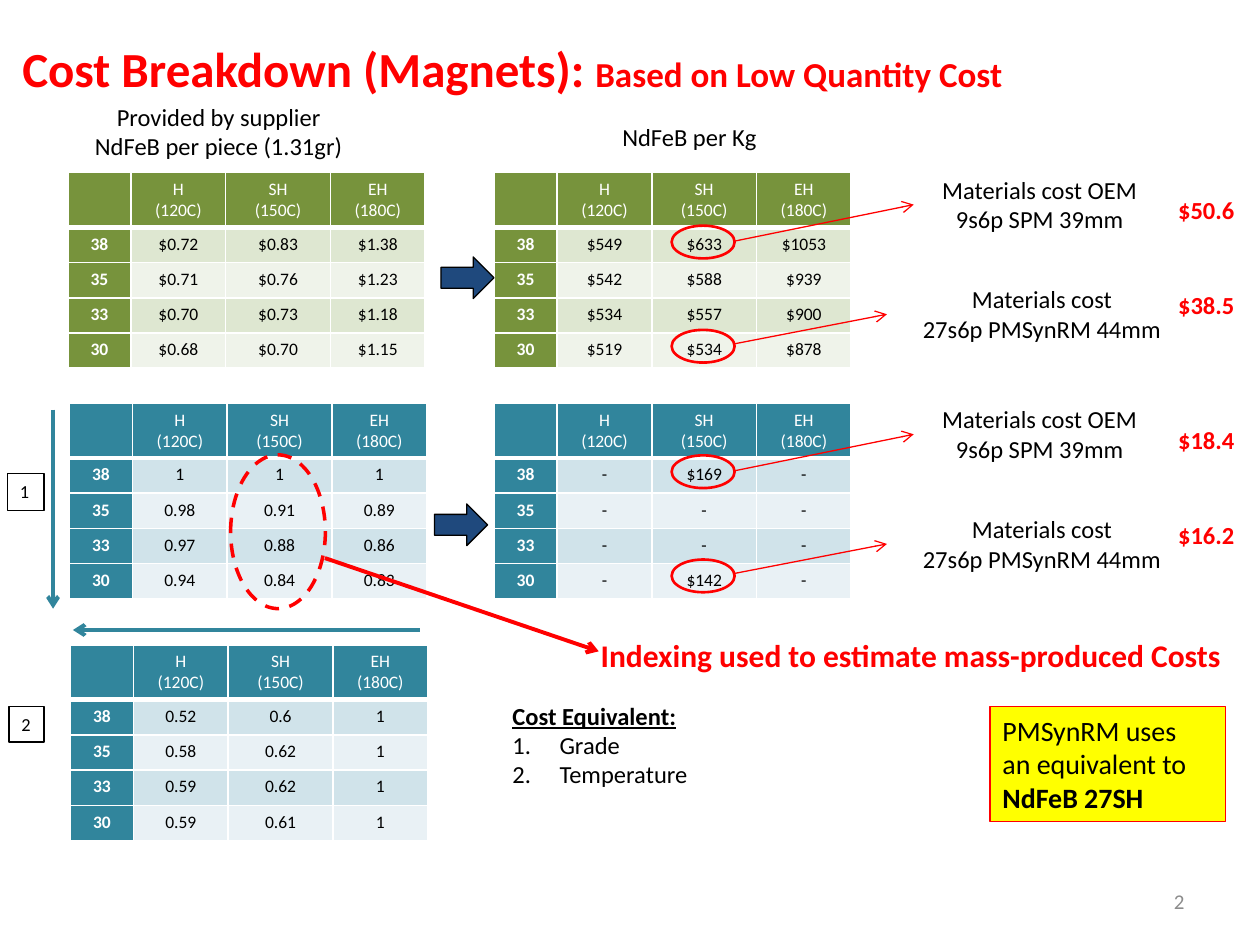
from dataclasses import dataclass

from lxml.etree import SubElement
from pptx import Presentation
from pptx.dml.color import RGBColor as RGB
from pptx.enum.dml import MSO_LINE as Dash
from pptx.enum.shapes import MSO_CONNECTOR as Link, MSO_SHAPE as Kind
from pptx.enum.text import MSO_ANCHOR as Anchor, MSO_AUTO_SIZE as Fit, PP_ALIGN as Align
from pptx.oxml.ns import qn
from pptx.util import Cm, Pt


@dataclass(frozen=True)
class Theme:
    font: str = "Calibri"
    red: str = "FF0000"
    black: str = "000000"
    white: str = "FFFFFF"
    gray: str = "8C8C8C"
    navy: str = "1F497D"
    yellow: str = "FFFF00"
    teal: str = "31859C"
    green: tuple = ("77933C", "DEE7D1", "EFF3EA")  # head, odd row, even row
    blue: tuple = ("31859C", "D0E3EA", "E9F1F5")
    title: float = 28
    sub: float = 20
    index: float = 18
    note: float = 16
    body: float = 14
    page: float = 12
    tag: float = 10.5
    cell: float = 10


T = Theme()


@dataclass(frozen=True)
class Run:
    text: str
    size: float = T.body
    color: str = T.black
    bold: bool = False
    under: bool = False


@dataclass(frozen=True)
class Box:
    x: float
    y: float
    w: float
    h: float


@dataclass(frozen=True)
class Grid:
    x: float
    y: float
    tint: tuple
    rows: tuple  # one string of three values for each grade


@dataclass(frozen=True)
class Cost:
    ring: float  # top of the ring
    start: float  # height at which the arrow leaves the ring
    label: Box
    lines: tuple
    price_y: float


GRADES = ("38", "35", "33", "30")
HEADS = (("H", "(120C)"), ("SH", "(150C)"), ("EH", "(180C)"))
COLS = (1.27, 1.91, 2.11, 1.91)
STEP = 4.63  # from the upper costs to the lower ones

GRIDS = (
    Grid(1.37, 3.48, T.green, ("$0.72 $0.83 $1.38", "$0.71 $0.76 $1.23",
                               "$0.70 $0.73 $1.18", "$0.68 $0.70 $1.15")),
    Grid(9.96, 3.48, T.green, ("$549 $633 $1053", "$542 $588 $939",
                               "$534 $557 $900", "$519 $534 $878")),
    Grid(1.4, 8.13, T.blue, ("1 1 1", "0.98 0.91 0.89", "0.97 0.88 0.86", "0.94 0.84 0.83")),
    Grid(1.42, 13, T.blue, ("0.52 0.6 1", "0.58 0.62 1", "0.59 0.62 1", "0.59 0.61 1")),
    Grid(9.96, 8.13, T.blue, ("- $169 -", "- - -", "- - -", "- $142 -")),
)
COSTS = (
    Cost(4.55, 4.86, Box(18.42, 3.4, 5.08, 1.45),
         ("Materials cost OEM", "9s6p SPM 39mm"), 3.81),
    Cost(6.65, 6.93, Box(17.88, 5.61, 6.25, 1.45),
         ("Materials cost", "27s6p PMSynRM 44mm"), 5.72),
)
PRICES = (("$50.6", "$38.5"), ("$18.4", "$16.2"))

deck = Presentation()
deck.slide_width, deck.slide_height = Cm(25.4), Cm(19.05)
slide = deck.slides.add_slide(deck.slide_layouts[6])
shapes = slide.shapes


def write(frame, lines: list, align=Align.LEFT) -> None:
    """Each line is a list of runs."""
    for i, line in enumerate(lines):
        para = frame.paragraphs[0] if i == 0 else frame.add_paragraph()
        para.alignment = align
        for item in line:
            run = para.add_run()
            run.text = item.text
            font = run.font
            font.name, font.size = T.font, Pt(item.size)
            font.bold, font.underline = item.bold, item.under
            font.color.rgb = RGB.from_string(item.color)


def place(box: Box) -> list:
    return [Cm(n) for n in (box.x, box.y, box.w, box.h)]


def text(box: Box, lines: list, align=Align.LEFT):
    area = shapes.add_textbox(*place(box))
    area.text_frame.word_wrap = False
    area.text_frame.auto_size = Fit.SHAPE_TO_FIT_TEXT
    write(area.text_frame, lines, align)
    return area


def shape(kind, box: Box, line: str, width: float = 0.75, fill: str = "", lines: list = ()):
    form = shapes.add_shape(kind, *place(box))
    form.shadow.inherit = False
    if fill:
        form.fill.solid()
        form.fill.fore_color.rgb = RGB.from_string(fill)
    else:
        form.fill.background()
    form.line.color.rgb = RGB.from_string(line)
    form.line.width = Pt(width)
    if lines:
        form.text_frame.word_wrap = False
        form.text_frame.auto_size = Fit.SHAPE_TO_FIT_TEXT
        form.text_frame.vertical_anchor = Anchor.TOP
        write(form.text_frame, lines)
    return form


def arrow(start: tuple, end: tuple, color: str, width: float):
    wire = shapes.add_connector(Link.STRAIGHT, *[Cm(n) for n in start + end])
    wire.line.color.rgb = RGB.from_string(color)
    wire.line.width = Pt(width)
    props = wire.line._get_or_add_ln()
    SubElement(props, qn("a:tailEnd"), type="arrow")
    SubElement(props.getparent(), qn("a:effectLst"))
    return wire


def edge(cell, low: float) -> None:
    props = cell._tc.get_or_add_tcPr()
    for side, width in (("L", 1), ("R", 1), ("T", 1), ("B", low)):
        rule = SubElement(props, qn(f"a:ln{side}"), w=str(Pt(width)))
        fill = SubElement(rule, qn("a:solidFill"))
        SubElement(fill, qn("a:srgbClr"), val=T.white)


def table(grid: Grid) -> None:
    frame = shapes.add_table(5, 4, Cm(grid.x), Cm(grid.y), Cm(sum(COLS)), Cm(3.94))
    for col, width in zip(frame.table.columns, COLS):
        col.width = Cm(width)
    for i, row in enumerate(frame.table.rows):
        row.height = Cm(0.71 if i else 0.92)
        words = [(w,) for w in (GRADES[i - 1], *grid.rows[i - 1].split())] if i else [(), *HEADS]
        for j, (cell, parts) in enumerate(zip(row.cells, words)):
            main = i == 0 or j == 0
            edge(cell, 1 if i else 3)
            cell.fill.solid()
            cell.fill.fore_color.rgb = RGB.from_string(grid.tint[0 if main else 2 - i % 2])
            color = T.white if main else T.black
            write(cell.text_frame, [[Run(p, T.cell, color, i > 0 and j == 0)] for p in parts],
                  Align.CENTER)
    frame.height = Cm(3.94)


def cost(item: Cost, price: str, down: float) -> None:
    """Ring round a table value, its label and its price."""
    shape(Kind.OVAL, Box(13.54, item.ring + down, 1.27, 0.66), T.red, 1.5)
    box = Box(item.label.x, item.label.y + down, item.label.w, item.label.h)
    label = text(box, [[Run(s)] for s in item.lines], Align.CENTER)
    wire = arrow((14.81, item.start + down), (box.x, box.y + box.h / 2), T.red, 0.75)
    wire.end_connect(label, 1)
    text(Box(23.5, item.price_y + down, 1.75, 0.86), [[Run(price, color=T.red, bold=True)]])


# Page number, title and captions
page = text(Box(18.21, 17.65, 5.92, 1.02), [[Run("2", T.page, T.gray)]], Align.RIGHT)
page.text_frame.word_wrap = True
page.text_frame.auto_size = Fit.NONE
page.text_frame.vertical_anchor = Anchor.MIDDLE
text(Box(0.2, 0.66, 20.5, 1.45), [[
    Run("Cost Breakdown (Magnets): ", T.title, T.red, True),
    Run("Based on Low Quantity Cost", T.sub, T.red, True)]])
text(Box(1.35, 1.93, 6.12, 1.45),
     [[Run("Provided by supplier")], [Run("NdFeB per piece (1.31gr)")]], Align.CENTER)
text(Box(12.07, 2.34, 3.66, 0.86), [[Run("NdFeB per Kg")]], Align.CENTER)

# Tables and the block arrows between them
for grid in GRIDS:
    table(grid)
for x, y in ((8.89, 5.18), (8.76, 10.16)):
    shape(Kind.RIGHT_ARROW, Box(x, y, 1.07, 0.84), T.black, fill=T.navy)

# Material costs
for i, pair in enumerate(PRICES):
    for item, price in zip(COSTS, pair):
        cost(item, price, i * STEP)

# Index directions and their numbers
arrow((1.07, 8.26), (1.07, 12.27), T.teal, 2.25)
arrow((8.46, 12.7), (1.47, 12.7), T.teal, 2.25)
for name, box in (("1", Box(0.15, 9.55, 0.74, 0.74)), ("2", Box(0.18, 14.25, 0.71, 0.71))):
    shape(Kind.RECTANGLE, box, T.black, lines=[[Run(name, T.tag)]])

# Cost equivalent list
equal = text(Box(10.08, 14, 4.42, 2.06), [
    [Run("Cost Equivalent:", bold=True, under=True)], [Run("Grade")], [Run("Temperature")]])
for para in equal.text_frame.paragraphs[1:]:
    props = para._p.get_or_add_pPr()
    props.set("marL", str(Cm(0.95)))
    props.set("indent", str(-Cm(0.95)))
    SubElement(props, qn("a:buFont"), typeface="+mj-lt")
    SubElement(props, qn("a:buAutoNum"), type="arabicPeriod")

# Yellow note
shape(Kind.RECTANGLE, Box(19.96, 14.25, 4.75, 2.31), T.red, fill=T.yellow, lines=[
    [Run("PMSynRM uses", T.note)], [Run("an equivalent to", T.note)],
    [Run("NdFeB 27SH", T.note, bold=True)]])

# Indexing remark
ring = shape(Kind.OVAL, Box(4.65, 9.17, 1.91, 3.1), T.red, 2)
ring.line.dash_style = Dash.DASH
arrow((6.55, 11.25), (12.07, 13.13), T.red, 2.25)
text(Box(11.86, 12.7, 13.11, 1.02),
     [[Run("Indexing used to estimate mass-produced Costs", T.index, T.red, True)]])

deck.save("out.pptx")
